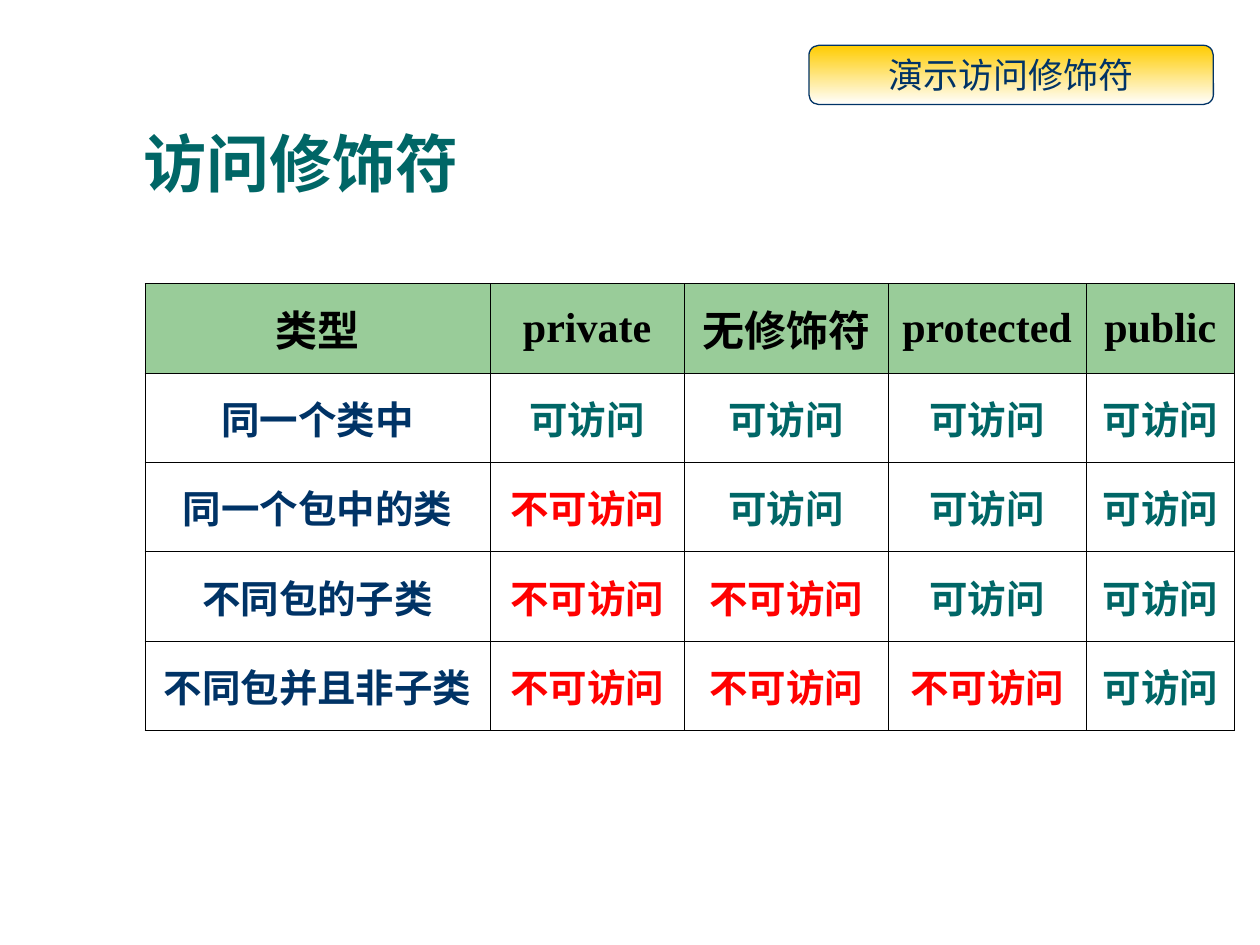
from dataclasses import dataclass

import pptx
import pptx.dml.color
import pptx.enum.shapes
import pptx.enum.text
import pptx.oxml
import pptx.oxml.ns
import pptx.slide
import pptx.table
import pptx.text.text
import pptx.util
from pptx.util import Inches

ANCHOR = pptx.enum.text.MSO_ANCHOR
ALIGN = pptx.enum.text.PP_ALIGN


@dataclass(frozen=True)
class Theme:
    teal: str = "006666"
    navy: str = "003366"
    red: str = "FF0000"
    black: str = "000000"
    green: str = "99CC99"
    gold: str = "FFCC00"
    white: str = "FFFFFF"
    serif: str = "Times New Roman"
    sans: str = "Arial"
    title_size: int = 36
    header_size: int = 24
    cell_size: int = 22
    button_size: int = 20
    border_width: float = 0.45


@dataclass(frozen=True)
class AccessRow:
    place: str
    denied: int  # how many modifiers, counted from private, refuse access


THEME = Theme()
HEADERS = ["类型", "private", "无修饰符", "protected", "public"]
ACCESS_ROWS = [
    AccessRow("同一个类中", 0),
    AccessRow("同一个包中的类", 1),
    AccessRow("不同包的子类", 2),
    AccessRow("不同包并且非子类", 3),
]
COLUMN_WIDTHS = [2.74, 1.54, 1.62, 1.57, 1.18]
ROW_HEIGHT = 0.71


def rgb(color: str) -> pptx.dml.color.RGBColor:
    return pptx.dml.color.RGBColor.from_string(color)


def write(frame: pptx.text.text.TextFrame, text: str, size: int, color: str,
          font: str, bold: bool, align: ALIGN) -> None:
    frame.text = text
    para = frame.paragraphs[0]
    para.alignment = align
    span = para.runs[0]
    span.font.size = pptx.util.Pt(size)
    span.font.color.rgb = rgb(color)
    span.font.name = font
    span.font.bold = bold


def add_borders(cell: pptx.table._Cell) -> None:
    properties = cell._tc.get_or_add_tcPr()
    width = pptx.util.Pt(THEME.border_width)
    namespace = pptx.oxml.ns.nsdecls("a")
    # Borders come before the fill in the cell properties
    for index, side in enumerate(["lnL", "lnR", "lnT", "lnB"]):
        properties.insert(index, pptx.oxml.parse_xml(
            f'<a:{side} {namespace} w="{width}"><a:solidFill>'
            f'<a:srgbClr val="{THEME.black}"/></a:solidFill></a:{side}>'))


def fill_cell(cell: pptx.table._Cell, text: str, size: int, color: str,
              background: str) -> None:
    cell.vertical_anchor = ANCHOR.MIDDLE
    cell.fill.solid()
    cell.fill.fore_color.rgb = rgb(background)
    write(cell.text_frame, text, size, color, THEME.serif, True, ALIGN.CENTER)
    add_borders(cell)


def add_title(page: pptx.slide.Slide) -> None:
    title = page.shapes.title
    title.left, title.top = Inches(1.04), Inches(0.89)
    title.width, title.height = Inches(8.41), Inches(0.76)
    frame = title.text_frame
    frame.auto_size = pptx.enum.text.MSO_AUTO_SIZE.NONE
    frame.vertical_anchor = ANCHOR.BOTTOM
    write(frame, "访问修饰符", THEME.title_size, THEME.teal, THEME.serif, True,
          ALIGN.LEFT)
    frame.paragraphs[0].line_spacing = 0.9


def add_access_table(page: pptx.slide.Slide) -> None:
    row_count = len(ACCESS_ROWS) + 1
    table = page.shapes.add_table(
        row_count, len(HEADERS), Inches(1.15), Inches(2.25),
        Inches(sum(COLUMN_WIDTHS)), Inches(ROW_HEIGHT * row_count)).table
    for column, width in zip(table.columns, COLUMN_WIDTHS):
        column.width = Inches(width)
    for row in table.rows:
        row.height = Inches(ROW_HEIGHT)

    for column, header in enumerate(HEADERS):
        fill_cell(table.cell(0, column), header, THEME.header_size,
                  THEME.black, THEME.green)
    for row, access in enumerate(ACCESS_ROWS, start=1):
        fill_cell(table.cell(row, 0), access.place, THEME.cell_size,
                  THEME.navy, THEME.white)
        for column in range(1, len(HEADERS)):
            denied = column <= access.denied
            fill_cell(table.cell(row, column),
                      "不可访问" if denied else "可访问", THEME.cell_size,
                      THEME.red if denied else THEME.teal, THEME.white)


def add_demo_button(page: pptx.slide.Slide) -> None:
    button = page.shapes.add_shape(
        pptx.enum.shapes.MSO_SHAPE.ROUNDED_RECTANGLE,
        Inches(6.42), Inches(0.36), Inches(3.21), Inches(0.47))
    button.shadow.inherit = False
    button.fill.gradient()
    button.fill.gradient_angle = 270  # top to bottom
    for stop, color, position in zip(button.fill.gradient_stops,
                                     [THEME.gold, THEME.white], [0, 1]):
        stop.color.rgb = rgb(color)
        stop.position = position
    button.line.color.rgb = rgb(THEME.navy)
    button.line.width = pptx.util.Pt(0.75)
    frame = button.text_frame
    frame.word_wrap = False
    frame.vertical_anchor = ANCHOR.MIDDLE
    write(frame, "演示访问修饰符", THEME.button_size, THEME.navy, THEME.sans,
          False, ALIGN.CENTER)


def main() -> None:
    deck = pptx.Presentation()
    deck.slide_width, deck.slide_height = Inches(10), Inches(7.5)
    page = deck.slides.add_slide(deck.slide_layouts.get_by_name("Title Only"))
    add_title(page)
    add_access_table(page)
    add_demo_button(page)
    deck.save("out.pptx")


if __name__ == "__main__":
    main()
